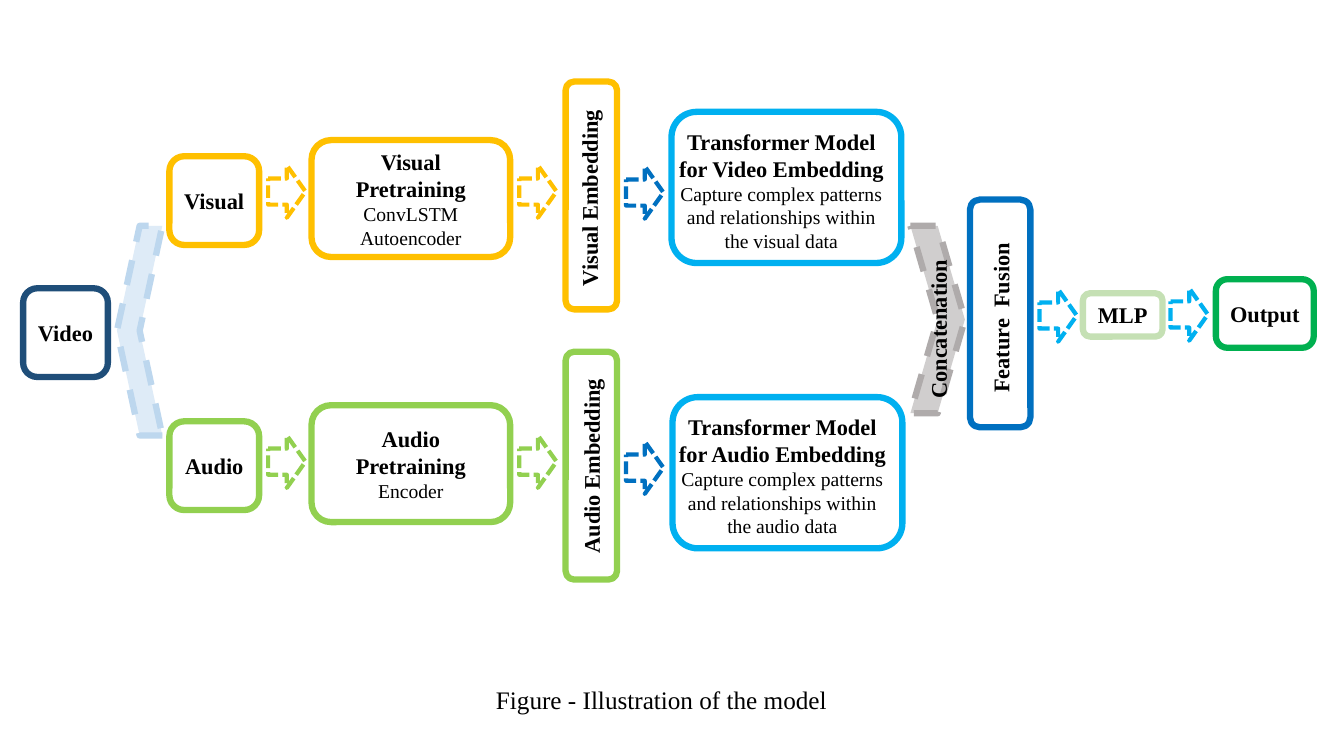
from dataclasses import dataclass

from pptx import Presentation
from pptx.dml.color import RGBColor
from pptx.enum.dml import MSO_LINE_DASH_STYLE as DASH
from pptx.enum.shapes import MSO_SHAPE as SHAPE
from pptx.enum.text import MSO_ANCHOR as ANCHOR, PP_ALIGN as ALIGN
from pptx.util import Inches, Pt

FONT = "Times New Roman"
BLACK, WHITE = "000000", "FFFFFF"
BLUE, SKY, NAVY = "0070C0", "00B0F0", "1F4E79"
ARROW_W, ARROW_H = 0.37, 0.52


@dataclass
class Box:
    x: float
    y: float
    w: float
    h: float
    line: str
    title: str = ""
    details: tuple[str, ...] = ()
    fill: str | None = None


@dataclass
class Label:
    x: float
    y: float
    w: float
    text: str


@dataclass
class Arrow:
    x: float
    y: float
    line: str


@dataclass
class Chevron:
    x: float
    y: float
    w: float
    h: float
    fill: str
    line: str
    rotation: int = 0


@dataclass
class Lane:
    name: str
    color: str
    source_y: float
    pretrain_y: float
    pretrain_details: tuple[str, ...]
    arrow_y: float
    embed_y: float
    label: Label
    blue_arrow_y: float
    model_x: float
    model_y: float
    model_name: str


LANES = [
    Lane("Visual", "FFC000", 1.55, 1.39, ("ConvLSTM Autoencoder",), 1.64, 0.81,
         Label(4.81, 1.78, 2.07, "Visual Embedding"), 1.65, 6.66, 1.11, "Video"),
    Lane("Audio", "92D050", 4.18, 4.02, ("Encoder",), 4.32, 3.49,
         Label(4.78, 4.44, 2.17, "Audio Embedding"), 4.38, 6.67, 3.94, "Audio"),
]
CHEVRONS = [
    Chevron(1.16, 2.24, 0.45, 2.08, "DEEBF7", "BDD7EE", 180),
    Chevron(9.03, 2.24, 0.54, 1.86, "D0CECE", "AFABAB"),
]
BOXES = [
    Box(0.23, 2.86, 0.84, 0.88, NAVY, "Video", fill=WHITE),
    Box(9.62, 1.98, 0.6, 2.26, BLUE),
    Box(10.74, 2.91, 0.79, 0.43, "C5E0B4", "MLP"),
    Box(12.06, 2.77, 0.97, 0.68, "00B050", "Output"),
]
ARROWS = [Arrow(10.31, 2.87, SKY), Arrow(11.61, 2.86, SKY)]
LABELS = [
    Label(8.84, 2.97, 2.17, "Feature  Fusion"),
    Label(8.48, 3.08, 1.65, "Concatenation"),
]


def rgb(color: str) -> RGBColor:
    return RGBColor.from_string(color)


def add_text(tf, text: str, *, size: int = 16, bold: bool = True,
             align=ALIGN.CENTER) -> None:
    p = tf.add_paragraph() if tf.paragraphs[0].runs else tf.paragraphs[0]
    p.alignment = align
    r = p.add_run()
    r.text = text
    r.font.name, r.font.size, r.font.bold = FONT, Pt(size), bold
    r.font.color.rgb = rgb(BLACK)


def add_outline(slide, kind, x: float, y: float, w: float, h: float, line: str, *,
                fill: str | None = None, weight: float = 4.5, dash=None):
    s = slide.shapes.add_shape(kind, Inches(x), Inches(y), Inches(w), Inches(h))
    s.shadow.inherit = False
    if fill:
        s.fill.solid()
        s.fill.fore_color.rgb = rgb(fill)
    else:
        s.fill.background()
    s.line.color.rgb = rgb(line)
    s.line.width = Pt(weight)
    if dash:
        s.line.dash_style = dash
    return s


def add_textbox(slide, x: float, y: float, w: float, h: float, *, wrap: bool = True):
    s = slide.shapes.add_textbox(Inches(x), Inches(y), Inches(w), Inches(h))
    s.text_frame.word_wrap = wrap
    return s


def draw_box(slide, box: Box) -> None:
    s = add_outline(slide, SHAPE.ROUNDED_RECTANGLE, box.x, box.y, box.w, box.h,
                    box.line, fill=box.fill)
    if box.title:
        tf = s.text_frame
        tf.word_wrap, tf.vertical_anchor = True, ANCHOR.MIDDLE
        add_text(tf, box.title)
        for detail in box.details:
            add_text(tf, detail, size=14, bold=False)


def draw_arrow(slide, arrow: Arrow) -> None:
    add_outline(slide, SHAPE.RIGHT_ARROW, arrow.x, arrow.y, ARROW_W, ARROW_H,
                arrow.line, weight=3, dash=DASH.SQUARE_DOT)


def draw_chevron(slide, c: Chevron) -> None:
    s = add_outline(slide, SHAPE.CHEVRON, c.x, c.y, c.w, c.h, c.line,
                    fill=c.fill, dash=DASH.DASH)
    s.rotation = c.rotation


def draw_label(slide, label: Label) -> None:
    s = add_textbox(slide, label.x, label.y, label.w, 0.37)
    s.rotation = 270
    add_text(s.text_frame, label.text)


def draw_lane(slide, lane: Lane) -> None:
    draw_box(slide, Box(1.68, lane.source_y, 0.89, 0.88, lane.color, lane.name,
                        fill=WHITE))
    draw_box(slide, Box(3.09, lane.pretrain_y, 1.97, 1.16, lane.color,
                        f"{lane.name} Pretraining", lane.pretrain_details, WHITE))
    draw_box(slide, Box(5.61, lane.embed_y, 0.51, 2.26, lane.color))
    draw_label(slide, lane.label)
    for x in (2.66, 5.15):
        draw_arrow(slide, Arrow(x, lane.arrow_y, lane.color))
    draw_arrow(slide, Arrow(6.21, lane.blue_arrow_y, BLUE))
    draw_box(slide, Box(lane.model_x, lane.model_y, 2.28, 1.5, SKY))
    tf = add_textbox(slide, lane.model_x - 0.05, lane.model_y + 0.11, 2.28, 1.35).text_frame
    add_text(tf, f"Transformer Model for {lane.model_name} Embedding")
    for detail in ("Capture complex patterns",
                   f"and relationships within the {lane.name.lower()} data"):
        add_text(tf, detail, size=14, bold=False)


def main() -> None:
    """Build the model diagram slide and save it."""
    prs = Presentation()
    prs.slide_width, prs.slide_height = Inches(13.33), Inches(7.5)
    slide = prs.slides.add_slide(prs.slide_layouts[6])
    for chevron in CHEVRONS:
        draw_chevron(slide, chevron)
    for lane in LANES:
        draw_lane(slide, lane)
    for box in BOXES:
        draw_box(slide, box)
    for arrow in ARROWS:
        draw_arrow(slide, arrow)
    for label in LABELS:
        draw_label(slide, label)
    caption = add_textbox(slide, 4.82, 6.74, 3.58, 0.4, wrap=False)
    add_text(caption.text_frame, "Figure - Illustration of the model", size=18,
             bold=False, align=ALIGN.LEFT)
    prs.save("out.pptx")


if __name__ == "__main__":
    main()
